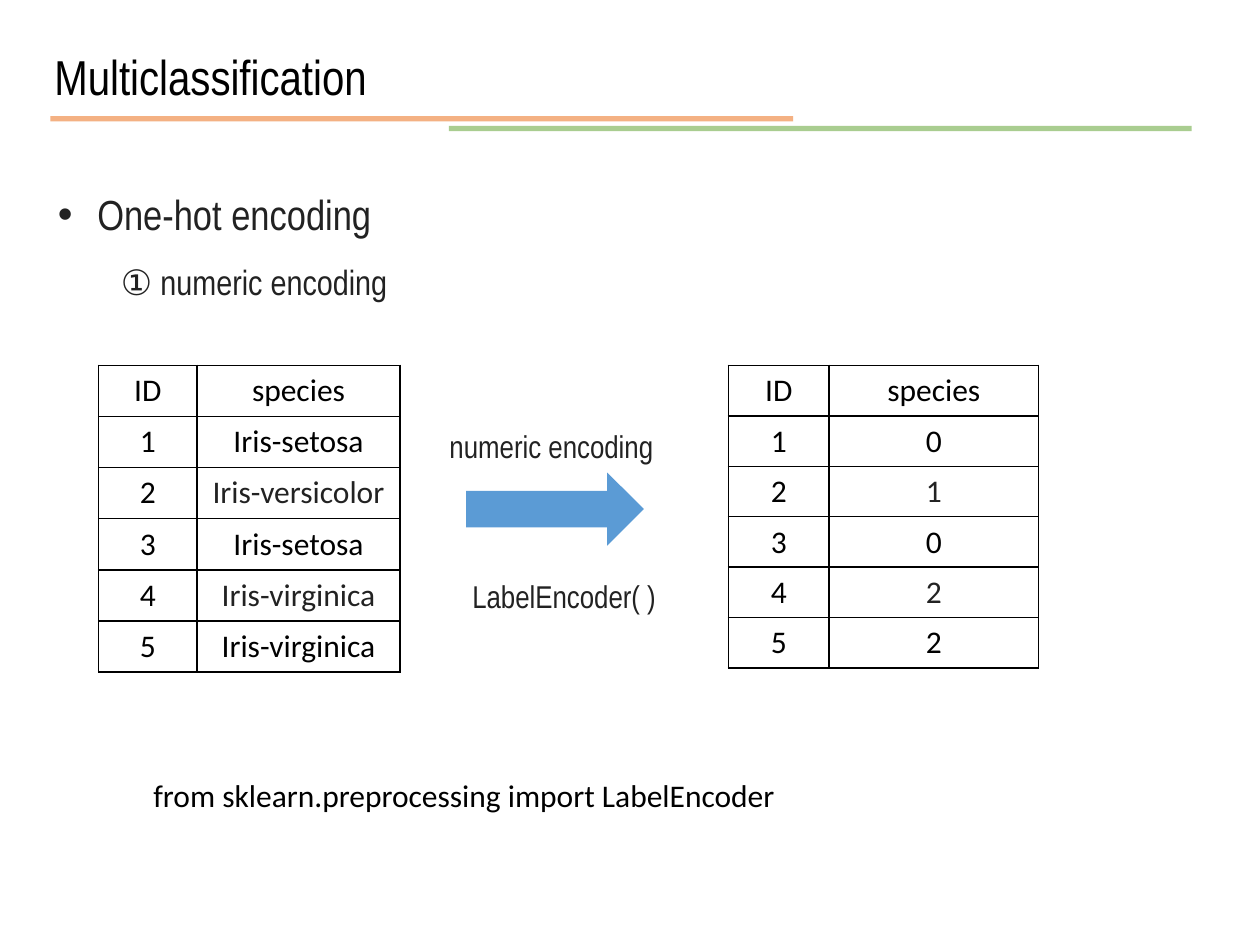
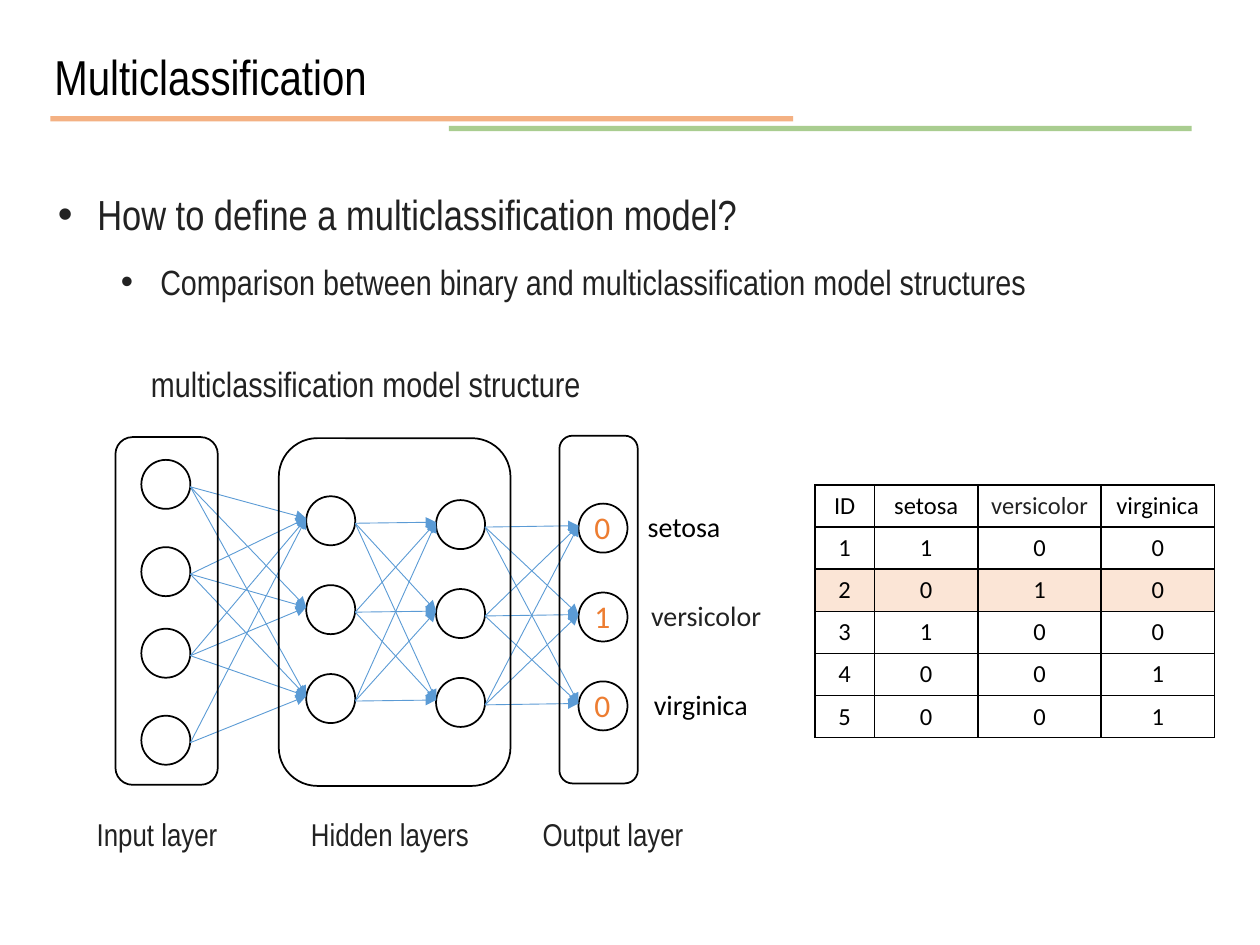
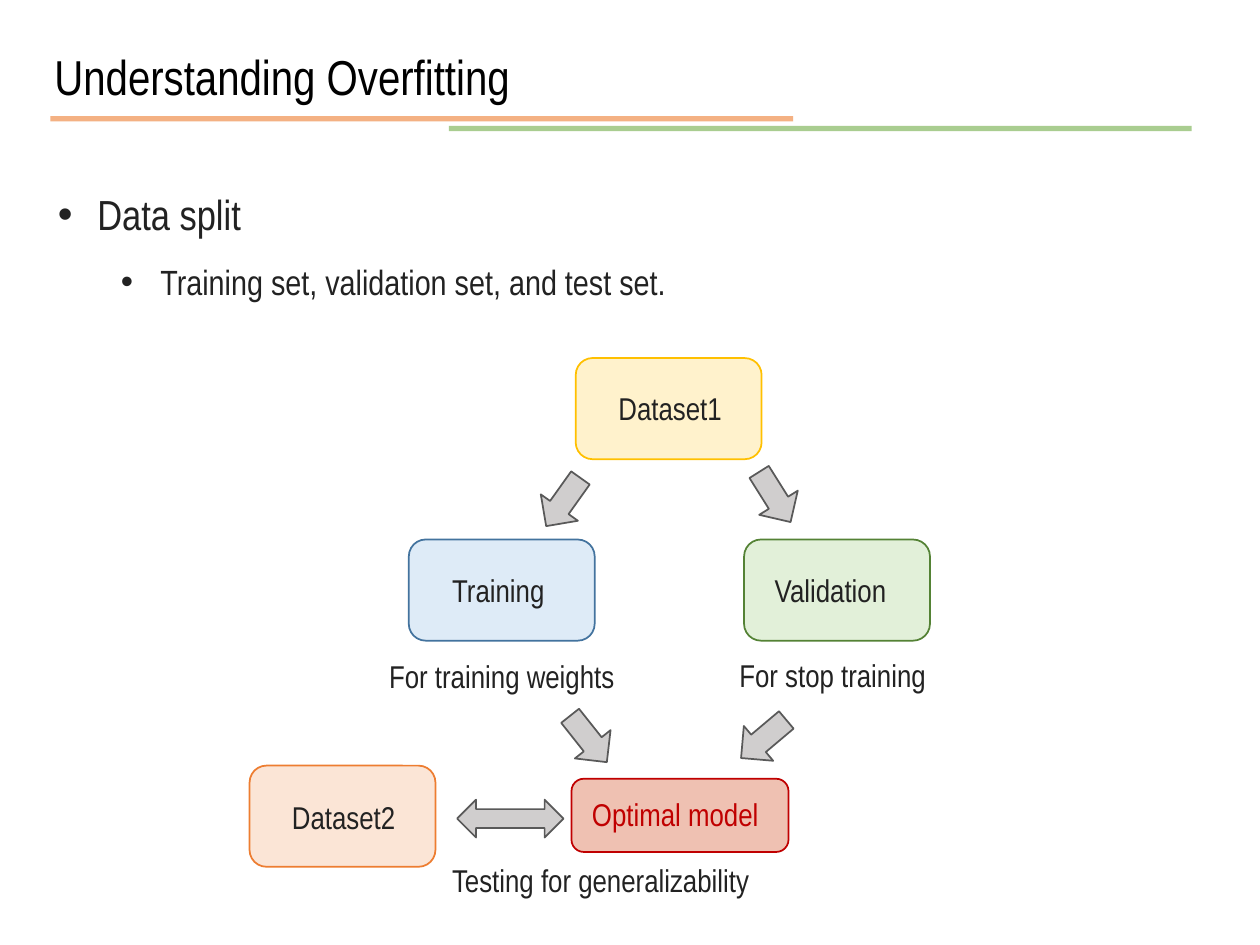
from dataclasses import dataclass
from itertools import product
from typing import Any, Optional

from lxml import etree
from pptx import Presentation
from pptx.dml.color import RGBColor
from pptx.enum.shapes import MSO_CONNECTOR, MSO_SHAPE
from pptx.enum.text import MSO_ANCHOR, PP_ALIGN
from pptx.oxml.ns import qn
from pptx.util import Pt

STRAIGHT = MSO_CONNECTOR.STRAIGHT
ELLIPSE = MSO_SHAPE.OVAL
ROUNDED = MSO_SHAPE.ROUNDED_RECTANGLE
RIGHT_ARROW = MSO_SHAPE.RIGHT_ARROW
DOWN_ARROW = MSO_SHAPE.DOWN_ARROW
BOTH_ARROW = MSO_SHAPE.LEFT_RIGHT_ARROW
CENTER = PP_ALIGN.CENTER
MIDDLE = MSO_ANCHOR.MIDDLE

BLACK = RGBColor(0x00, 0x00, 0x00)
INK = RGBColor(0x22, 0x22, 0x22)
ORANGE = RGBColor(0xED, 0x7D, 0x31)
GREEN = RGBColor(0x70, 0xAD, 0x47)
BLUE = RGBColor(0x5B, 0x9B, 0xD5)
PALE_ORANGE = RGBColor(0xFB, 0xE5, 0xD6)
PALE_YELLOW = RGBColor(0xFF, 0xF2, 0xCC)
PALE_BLUE = RGBColor(0xDE, 0xEB, 0xF7)
PALE_GREEN = RGBColor(0xE2, 0xF0, 0xD9)
GOLD = RGBColor(0xFF, 0xC0, 0x00)
STEEL = RGBColor(0x43, 0x73, 0x9E)
FOREST = RGBColor(0x54, 0x82, 0x35)
BRICK = RGBColor(0xCC, 0x33, 0x00)
DARK_RED = RGBColor(0xC0, 0x00, 0x00)
SILVER = RGBColor(0xD0, 0xCE, 0xCE)
GRAY = RGBColor(0x59, 0x59, 0x59)

NARROW = "Arial Narrow"
CALIBRI = "Calibri"

NODE_SIZE = 28
NODE_PITCH = 50.8
PORT_SHIFT = 1.4


@dataclass(frozen=True)
class Label:
    text: str
    left: float
    top: float
    width: float
    height: float = 29
    size: float = 18
    font: str = NARROW
    color: RGBColor = INK
    spacing: float = 1.0


@dataclass(frozen=True)
class Block:
    kind: Any
    left: float
    top: float
    width: float
    height: float
    fill: Optional[RGBColor] = None
    line: Optional[RGBColor] = BLACK
    rotation: float = 0
    opacity: int = 100


@dataclass(frozen=True)
class Link:
    start: tuple[float, float]
    end: tuple[float, float]
    color: RGBColor = BLUE
    width: float = 0.5
    arrow: bool = True
    opacity: int = 100


@dataclass(frozen=True)
class Grid:
    rows: list[tuple[str, ...]]
    left: float
    top: float
    columns: tuple[float, ...]
    row_height: float
    size: float = 18
    ink_cells: tuple[tuple[int, int], ...] = ()
    marked_row: Optional[int] = None


@dataclass(frozen=True)
class Point:
    text: str
    size: float
    level: int
    margin: float
    indent: float


RULES = (
    Link((28.8, 67.9), (453.2, 67.9), ORANGE, 3, False, 60),
    Link((256.5, 73.5), (680.9, 73.5), GREEN, 3, False, 60),
)


def apply_format(target: Any, values: dict[str, Any]) -> None:
    for name, value in values.items():
        setattr(target, name, value)


def style_run(run: Any, font: str, size: float, color: RGBColor) -> None:
    apply_format(run.font, {"name": font, "size": Pt(size)})
    run.font.color.rgb = color


def set_opacity(shape: Any, percent: int) -> None:
    if percent < 100:
        first_color = next(shape.element.iter(qn("a:srgbClr")))
        etree.SubElement(first_color, qn("a:alpha"), val=str(percent * 1000))


def draw_label(slide: Any, label: Label) -> None:
    box = slide.shapes.add_textbox(
        Pt(label.left), Pt(label.top), Pt(label.width), Pt(label.height))
    box.text_frame.word_wrap = True
    paragraph = box.text_frame.paragraphs[0]
    paragraph.line_spacing = label.spacing
    run = paragraph.add_run()
    run.text = label.text
    style_run(run, label.font, label.size, label.color)


def draw_block(slide: Any, block: Block) -> None:
    shape = slide.shapes.add_shape(
        block.kind, Pt(block.left), Pt(block.top), Pt(block.width), Pt(block.height))
    shape.shadow.inherit = False
    shape.rotation = block.rotation
    if block.fill is None:
        shape.fill.background()
    else:
        shape.fill.solid()
        shape.fill.fore_color.rgb = block.fill
    if block.line is None:
        shape.line.fill.background()
    else:
        shape.line.color.rgb = block.line
        shape.line.width = Pt(1)
    set_opacity(shape, block.opacity)


def draw_link(slide: Any, link: Link) -> None:
    connector = slide.shapes.add_connector(
        STRAIGHT, *(Pt(value) for value in link.start + link.end))
    connector.line.color.rgb = link.color
    connector.line.width = Pt(link.width)
    set_opacity(connector, link.opacity)
    properties = connector.element.spPr
    if link.arrow:
        etree.SubElement(properties.find(qn("a:ln")), qn("a:tailEnd"), type="triangle")
    etree.SubElement(properties, qn("a:effectLst"))


def add_borders(cell: Any) -> None:
    properties = cell._tc.get_or_add_tcPr()
    for side in ("lnL", "lnR", "lnT", "lnB"):
        border = etree.SubElement(properties, qn(f"a:{side}"), w=str(Pt(1)))
        fill = etree.SubElement(border, qn("a:solidFill"))
        etree.SubElement(fill, qn("a:srgbClr"), val=str(BLACK))


def draw_grid(slide: Any, grid: Grid) -> None:
    table = slide.shapes.add_table(
        len(grid.rows), len(grid.columns), Pt(grid.left), Pt(grid.top),
        Pt(sum(grid.columns)), Pt(grid.row_height * len(grid.rows))).table
    apply_format(table, {"first_row": False, "horz_banding": False})
    for column, width in zip(table.columns, grid.columns):
        column.width = Pt(width)
    for row_index, texts in enumerate(grid.rows):
        table.rows[row_index].height = Pt(grid.row_height)
        for column_index, text in enumerate(texts):
            cell = table.cell(row_index, column_index)
            apply_format(cell, {"margin_left": Pt(3.6), "margin_right": Pt(3.6),
                                "vertical_anchor": MIDDLE})
            add_borders(cell)
            if row_index == grid.marked_row:
                cell.fill.solid()
                cell.fill.fore_color.rgb = PALE_ORANGE
            else:
                cell.fill.background()
            paragraph = cell.text_frame.paragraphs[0]
            paragraph.alignment = CENTER
            run = paragraph.add_run()
            run.text = text
            color = INK if (row_index, column_index) in grid.ink_cells else BLACK
            style_run(run, CALIBRI, grid.size, color)


def draw_points(slide: Any, points: tuple[Point, ...]) -> None:
    frame = slide.shapes.add_textbox(Pt(26), Pt(90), Pt(688), Pt(83)).text_frame
    frame.word_wrap = True
    for index, point in enumerate(points):
        paragraph = frame.add_paragraph() if index else frame.paragraphs[0]
        properties = paragraph._p.get_or_add_pPr()
        properties.set("marL", str(Pt(point.margin)))
        properties.set("indent", str(Pt(point.indent)))
        if point.indent:
            etree.SubElement(properties, qn("a:buFont"), typeface="Arial")
            etree.SubElement(properties, qn("a:buChar"), char="•")
        apply_format(paragraph, {"level": point.level, "line_spacing": 1.5})
        run = paragraph.add_run()
        run.text = point.text
        style_run(run, NARROW, point.size, INK)


def add_topic(deck: Any, title: str, heading: str, detail: str, bulleted: bool = True) -> Any:
    slide = deck.slides.add_slide(deck.slide_layouts[6])
    for rule in RULES:
        draw_link(slide, rule)
    draw_label(slide, Label(title, 24, 6, 672, 52, 28, NARROW, BLACK, 1.5))
    detail_margin, detail_indent = (58.5, -22.5) if bulleted else (36, 0)
    draw_points(slide, (
        Point(heading, 24, 0, 22.5, -22.5),
        Point(detail, 20, 1, detail_margin, detail_indent),
    ))
    return slide


def build_encoding(deck: Any) -> None:
    slide = add_topic(deck, "Multiclassification", "One-hot encoding",
                      "① numeric encoding", bulleted=False)
    species = ("Iris-setosa", "Iris-versicolor", "Iris-setosa",
               "Iris-virginica", "Iris-virginica")
    codes = ("0", "1", "0", "2", "2")
    for values, left, columns, row_height in (
        (species, 56.3, (56.3, 116), 29.2),
        (codes, 416.2, (57.6, 119.6), 28.8),
    ):
        rows = [("ID", "species")]
        rows += [(str(number), value) for number, value in enumerate(values, 1)]
        draw_grid(slide, Grid(rows, left, 208.8, columns, row_height,
                              ink_cells=((2, 1), (4, 1))))
    draw_block(slide, Block(RIGHT_ARROW, 266.4, 270, 101.5, 41.8, BLUE, None))
    for label in (
        Label("numeric encoding", 249.8, 240.5, 133),
        Label("LabelEncoder( )", 262.8, 326.2, 133),
        Label("from sklearn.preprocessing import LabelEncoder", 80.6, 440, 426,
              font=CALIBRI, color=BLACK),
    ):
        draw_label(slide, label)


def layer_tops(first: float) -> list[float]:
    return [first + NODE_PITCH * index for index in range(3)]


def build_network(deck: Any) -> None:
    slide = add_topic(deck, "Multiclassification", "How to define a multiclassification model?",
                      "Comparison between binary and multiclassification model structures")
    layers = (
        (80.8, [262.8, 312.7, 359.3, 409]),
        (175, layer_tops(283.6)),
        (249.2, layer_tops(285.8)),
        (330.6, layer_tops(287.8)),
    )
    unlinked = (0, 3, 1)
    for left, tops in layers:
        for top in tops:
            draw_block(slide, Block(ELLIPSE, left, top, NODE_SIZE, NODE_SIZE))
    for layer, ((left, tops), (next_left, next_tops)) in enumerate(zip(layers, layers[1:])):
        for source, target in product(range(len(tops)), range(len(next_tops))):
            if (layer, source, target) != unlinked:
                draw_link(slide, Link(
                    (left + NODE_SIZE, tops[source] + NODE_SIZE / 2 + PORT_SHIFT),
                    (next_left, next_tops[target] + NODE_SIZE / 2 - PORT_SHIFT)))
    for left, top, width in ((66, 249.8, 58.5), (159.3, 250.4, 132.4), (319.7, 249, 44.8)):
        draw_block(slide, Block(ROUNDED, left, top, width, 198.7))
    for text, left, width in (
        ("Input layer", 48.2, 96), ("Hidden layers", 170.6, 106), ("Output layer", 303, 106),
    ):
        draw_label(slide, Label(text, left, 462.2, width))
    draw_label(slide, Label("multiclassification model structure", 79.2, 203.8, 277, 32, 20))
    classes = (("setosa", "0", 363, BLACK), ("versicolor", "1", 365, INK),
               ("virginica", "0", 366.5, BLACK))
    for top, (name, code, left, color) in zip(layer_tops(287.8), classes):
        draw_label(slide, Label(name, left, top, 87, 27, 16, CALIBRI, color))
        draw_label(slide, Label(code, 332.6, top - 1, 25, font=CALIBRI, color=ORANGE))
    positions = (0, 1, 0, 2, 2)
    rows = [("ID", "setosa", "versicolor", "virginica")]
    rows += [(str(number), *("1" if column == hot else "0" for column in range(3)))
             for number, hot in enumerate(positions, 1)]
    draw_grid(slide, Grid(rows, 465.8, 277.2, (33.8, 59.4, 70.2, 64.8), 24, 14,
                          ink_cells=((0, 2),), marked_row=2))


def build_split(deck: Any) -> None:
    slide = add_topic(deck, "Understanding Overfitting", "Data split",
                      "Training set, validation set, and test set.")
    for left, top, fill, line in (
        (329, 204.6, PALE_YELLOW, GOLD),
        (233.6, 308.3, PALE_BLUE, STEEL),
        (425.2, 308.3, PALE_GREEN, FOREST),
        (142.6, 437.5, PALE_ORANGE, ORANGE),
    ):
        draw_block(slide, Block(ROUNDED, left, top, 106.2, 57.8, fill, line))
    draw_block(slide, Block(ROUNDED, 326.6, 445, 124, 41.8, BRICK, DARK_RED, opacity=30))
    for left, top, rotation in (
        (308.9, 270, 35.4), (429.8, 267.1, 327.9), (323.3, 405.4, 321.6), (423.4, 405.4, 49.9),
    ):
        draw_block(slide, Block(DOWN_ARROW, left, top, 26, 33.8, SILVER, GRAY, rotation))
    draw_block(slide, Block(BOTH_ARROW, 261.2, 457, 60.8, 21.6, SILVER, GRAY))
    for label in (
        Label("Dataset1", 346.3, 218.9, 78),
        Label("Training", 251.3, 322.6, 72),
        Label("Validation", 435.6, 322.6, 85),
        Label("For training weights", 215.3, 371.8, 151),
        Label("For stop training", 415.4, 371.5, 151),
        Label("Dataset2", 159.8, 452.2, 78),
        Label("Optimal model", 331.2, 450.7, 124, color=DARK_RED),
        Label("Testing for generalizability", 251.3, 488.2, 360),
    ):
        draw_label(slide, label)


def main() -> None:
    deck = Presentation()
    apply_format(deck, {"slide_width": Pt(720), "slide_height": Pt(540)})
    for build in (build_encoding, build_network, build_split):
        build(deck)
    deck.save("out.pptx")


if __name__ == "__main__":
    main()
